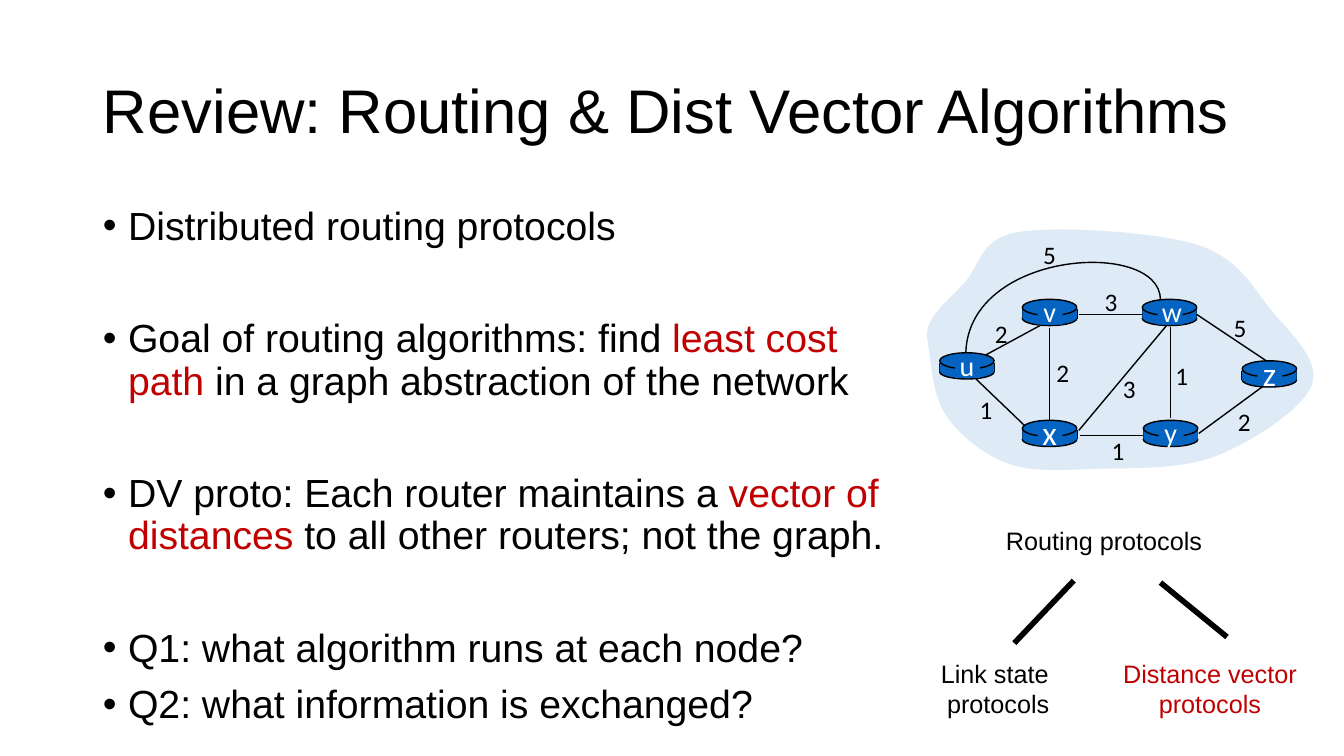
from lxml import etree
from pptx import Presentation
from pptx import util as u
from pptx.dml.color import RGBColor
from pptx.enum import shapes, text
from pptx.oxml.ns import qn

BLACK, WHITE, RED = "000000", "FFFFFF", "C00000"
BLUE, PALE = "0563C1", "DEEBF7"


def color(value):
    return RGBColor.from_string(value)


class Slide:
    sans, label_font = "Arial", "Calibri"

    def __init__(self, page):
        self.page = page

    def spans(self, para, parts, size, font):
        for words, tint in parts:
            span = para.add_run()
            span.text = words
            span.font.size, span.font.name = u.Pt(size), font
            span.font.color.rgb = color(tint)

    def place(self, box, left, top, width, height):
        box.left, box.top = u.Inches(left), u.Inches(top)
        box.width, box.height = u.Inches(width), u.Inches(height)

    def title(self, words, at):
        box = self.page.shapes.title
        self.place(box, *at)
        box.text_frame.vertical_anchor = text.MSO_ANCHOR.MIDDLE
        para = box.text_frame.paragraphs[0]
        para.alignment = text.PP_ALIGN.LEFT
        para.line_spacing = 0.9
        self.spans(para, [(words, BLACK)], 44, self.sans)

    def bullets(self, items, at):
        box = self.page.placeholders[1]
        self.place(box, *at)
        frame = box.text_frame
        frame.auto_size = text.MSO_AUTO_SIZE.NONE
        for i, (gap, parts) in enumerate(items):
            para = frame.paragraphs[0] if i == 0 else frame.add_paragraph()
            props = para._p.get_or_add_pPr()
            props.set("marL", str(u.Inches(0.25)))
            props.set("indent", str(u.Inches(-0.25)))
            etree.SubElement(props, qn("a:buFont")).set("typeface", self.sans)
            etree.SubElement(props, qn("a:buChar")).set("char", "•")
            para.line_spacing = 0.9
            para.space_before = u.Pt(gap)
            self.spans(para, parts, 28, self.sans)

    def text(self, lines, center, size, tint=BLACK, font=label_font,
             width=0.33, height=0.4, wrap=False):
        x, y = center
        box = self.page.shapes.add_textbox(
            u.Inches(x - width / 2), u.Inches(y - height / 2),
            u.Inches(width), u.Inches(height))
        frame = box.text_frame
        frame.word_wrap = wrap
        frame.vertical_anchor = text.MSO_ANCHOR.MIDDLE
        for i, words in enumerate(lines):
            para = frame.paragraphs[0] if i == 0 else frame.add_paragraph()
            para.alignment = text.PP_ALIGN.CENTER
            self.spans(para, [(words, tint)], size, font)

    def paint(self, shape, fill=None, line=None):
        shape.shadow.inherit = False
        if fill:
            shape.fill.solid()
            shape.fill.fore_color.rgb = color(fill)
        else:
            shape.fill.background()
        if line:
            shape.line.color.rgb = color(line)
            shape.line.width = u.Pt(1)
        else:
            shape.line.fill.background()

    def shape(self, kind, left, top, width, height, fill, line=None):
        self.paint(self.page.shapes.add_shape(
            kind, u.Inches(left), u.Inches(top),
            u.Inches(width), u.Inches(height)), fill, line)

    def curve(self, start, *segments, fill=None, line=None):
        """Chain of cubic segments, each two controls and an end."""
        points = [tuple(map(u.Inches, p)) for part in segments for p in part]
        builder = self.page.shapes.build_freeform(*map(u.Inches, start))
        builder.add_line_segments(points, close=fill is not None)
        shape = builder.convert_to_shape()
        # Join every three straight steps into one cubic step
        steps = list(shape.element.iter(qn("a:lnTo")))
        for first, *others in zip(*[iter(steps)] * 3):
            first.tag = qn("a:cubicBezTo")
            for step in others:
                first.append(step[0])
                step.getparent().remove(step)
        self.paint(shape, fill, line)

    def line(self, start, end, weight=1):
        link = self.page.shapes.add_connector(
            shapes.MSO_CONNECTOR.STRAIGHT, *map(u.Inches, (*start, *end)))
        link.line.color.rgb = color(BLACK)
        link.line.width = u.Pt(weight)
        etree.SubElement(link.element.spPr, qn("a:effectLst"))

    def router(self, left, top):
        oval, rect = shapes.MSO_SHAPE.OVAL, shapes.MSO_SHAPE.RECTANGLE
        self.shape(oval, left, top + 0.12, 0.54, 0.14, BLUE, BLACK)
        for x in (left, left + 0.54):
            self.line((x, top + 0.1), (x, top + 0.19))
        self.shape(rect, left, top + 0.1, 0.54, 0.09, BLUE)
        self.shape(oval, left, top, 0.54, 0.16, BLUE, BLACK)

    def router_name(self, name, left, top, size):
        self.shape(shapes.MSO_SHAPE.RECTANGLE,
                   left + 0.15, top + 0.02, 0.25, 0.23, BLUE)
        self.text([name], (left + 0.27, top + 0.12), size, WHITE,
                  width=0.35, height=0.44 if size == 20 else 0.51)


def main():
    deck = Presentation()
    deck.slide_width, deck.slide_height = u.Inches(13.33), u.Inches(7.5)
    slide = Slide(deck.slides.add_slide(deck.slide_layouts[1]))

    # Title and list
    slide.title("Review: Routing & Dist Vector Algorithms",
                (0.92, 0.4, 11.5, 1.45))
    slide.bullets([
        (0, [("Distributed routing protocols", BLACK)]),
        (50, [("Goal of routing algorithms: find ", BLACK),
              ("least cost path", RED),
              (" in a graph abstraction of the network", BLACK)]),
        (50, [("DV proto: Each router maintains a ", BLACK),
              ("vector of distances", RED),
              (" to all other routers; not the graph.", BLACK)]),
        (50, [("Q1: what algorithm runs at each node?", BLACK)]),
        (10, [("Q2: what information is exchanged?", BLACK)]),
    ], (0.92, 2, 8.1, 5.29))

    # Network cloud
    slide.curve(
        (9.19, 3.33),
        ((9.2, 3.12), (9.42, 2.97), (9.57, 2.8)),
        ((9.72, 2.63), (9.72, 2.36), (10.11, 2.3)),
        ((10.5, 2.24), (11.47, 2.3), (11.88, 2.43)),
        ((12.3, 2.57), (12.42, 2.85), (12.61, 3.08)),
        ((12.8, 3.31), (13.1, 3.57), (13.01, 3.82)),
        ((12.92, 4.06), (12.42, 4.38), (12.07, 4.52)),
        ((11.72, 4.66), (11.26, 4.64), (10.92, 4.65)),
        ((10.57, 4.66), (10.26, 4.69), (10, 4.6)),
        ((9.74, 4.5), (9.5, 4.31), (9.37, 4.1)),
        ((9.23, 3.88), (9.23, 3.49), (9.19, 3.33)), fill=PALE)

    # Routers, with the u-v link running behind them
    routers = {"u": (9.32, 3.5, 20), "x": (10.14, 4.17, 24),
               "v": (10.14, 2.97, 20), "w": (11.33, 2.97, 20),
               "y": (11.34, 4.17, 20), "z": (12.32, 3.58, 24)}
    slide.line((9.78, 3.52), (10.37, 3.2))
    for left, top, _ in routers.values():
        slide.router(left, top)

    # Links
    for start, end in [
            ((11.61, 3.24), (11.61, 4.15)), ((10.41, 3.25), (10.41, 4.18)),
            ((10.7, 4.27), (11.57, 3.23)), ((11.89, 4.3), (12.53, 3.83)),
            ((11.34, 4.32), (10.71, 4.32)), ((10.16, 4.22), (9.68, 3.76)),
            ((11.33, 3.12), (10.7, 3.12)), ((12.56, 3.58), (11.87, 3.12))]:
        slide.line(start, end)
    slide.curve((11.51, 2.97),
                ((11.5, 2.37), (9.62, 2.48), (9.58, 3.49)), line=BLACK)

    # Router names and link costs
    for name, (left, top, size) in routers.items():
        slide.router_name(name, left, top, size)
    for cost, x, y in [
            ("2", 9.93, 3.31), ("2", 10.54, 3.69), ("1", 9.78, 4.06),
            ("3", 11.2, 3.85), ("1", 11.09, 4.47), ("1", 11.72, 3.72),
            ("2", 12.34, 4.18), ("5", 12.3, 3.25), ("3", 11.02, 2.99),
            ("5", 10.41, 2.52)]:
        slide.text([cost], (x, y), 18)

    # Protocol tree
    slide.line((10.65, 5.76), (10.06, 6.38), 4)
    slide.line((11.51, 5.78), (12.17, 6.32), 4)
    for lines, center, width, height, tint in [
            (["Routing protocols"], (10.95, 5.36), 3.35, 0.4, BLACK),
            (["Link state ", "protocols"], (9.9, 6.83), 1.82, 0.71, BLACK),
            (["Distance vector protocols"], (12, 6.83), 2.39, 0.71, RED)]:
        slide.text(lines, center, 18, tint, slide.sans, width, height, True)

    deck.save("out.pptx")


if __name__ == "__main__":
    main()
